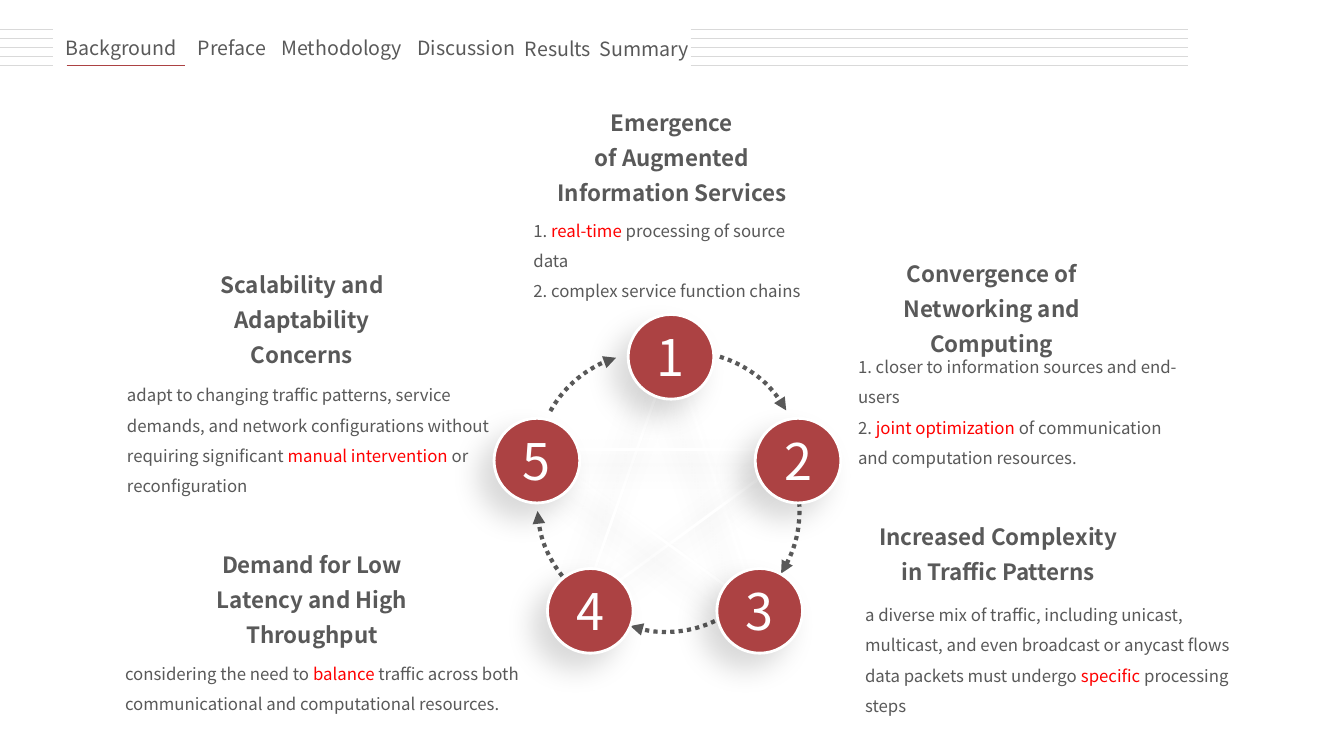
import dataclasses

import lxml.etree
import pptx
import pptx.dml.color
import pptx.enum.shapes
import pptx.enum.text
import pptx.oxml.ns
import pptx.util

Inches = pptx.util.Inches
Pt = pptx.util.Pt
Align = pptx.enum.text.PP_ALIGN
Anchor = pptx.enum.text.MSO_ANCHOR
Shape = pptx.enum.shapes.MSO_SHAPE
qn = pptx.oxml.ns.qn


@dataclasses.dataclass(frozen=True)
class Theme:
    font: str = "Noto Sans CJK SC"
    ink: str = "595959"
    accent: str = "AC4243"
    highlight: str = "FF0000"
    rule: str = "D9D9D9"
    light: str = "FFFFFF"
    number_size: int = 36
    heading_size: int = 16
    tab_size: int = 14
    body_size: int = 12


THEME = Theme()

# Tab label, left, top, width
TABS = [
    ("Background", 0.54, 0.31, 1.33),
    ("Preface", 1.85, 0.31, 0.9),
    ("Methodology", 2.65, 0.31, 1.48),
    ("Discussion", 4.03, 0.31, 1.19),
    ("Results", 5.1, 0.32, 0.87),
    ("Summary", 5.84, 0.32, 1.1),
]

# Heading box, heading paragraphs, body box, body paragraphs (*highlighted*)
TOPICS = [
    ((5.34, 0.96, 2.65, 1.09), ["Emergence", "of Augmented Information Services"],
     (5.29, 2.09, 2.75, 0.87),
     ["1. *real-time* processing of source data", "2. complex service function chains"]),
    ((8.46, 2.46, 2.75, 1.09), ["Convergence of Networking and Computing"],
     (8.51, 3.44, 3.28, 1.18),
     ["1. closer to information sources and end-users",
      "2. *joint optimization* of communication and computation resources."]),
    ((8.58, 5.07, 2.64, 0.74), ["Increased Complexity in Traffic Patterns"],
     (8.58, 5.9, 3.71, 1.18),
     ["a diverse mix of traffic, including unicast, multicast, and even broadcast "
      "or anycast flows",
      "data packets must undergo *specific* processing steps"]),
    ((1.83, 5.35, 2.53, 1.09), ["Demand for Low Latency and High Throughput"],
     (1.24, 6.48, 4.23, 0.57),
     ["considering the need to *balance* traffic across both communicational and "
      "computational resources."]),
    ((2.05, 2.57, 1.89, 1.09), ["Scalability and Adaptability Concerns"],
     (1.26, 3.72, 4, 1.18),
     ["adapt to changing traffic patterns, service demands, and network configurations "
      "without requiring significant *manual intervention* or reconfiguration"]),
]

# Positions in the cycle, relative to its box
CYCLE_BOX = (4.9, 3.12, 3.44, 3.36)
DISC_SIZE = (0.85, 0.84)
DISCS = [(1.33, 0), (2.59, 1.03), (2.21, 2.52), (0.53, 2.52), (0, 1.03)]
STAR_POINTS = [(1.77, 0.34), (3.02, 1.34), (2.61, 2.92), (0.86, 2.92), (0.44, 1.34)]
# Arc centre x, centre y, radius, start angle
ARCS = [
    (1.91, 1.5, 1.13, 287),
    (1.85, 1.94, 1.18, 348.3),
    (1.71, 2.03, 1.12, 64.6),
    (1.56, 1.89, 1.13, 132.9),
    (1.54, 1.5, 1.12, 208.9),
]
ARC_SWEEP = 44


def color(code):
    return pptx.dml.color.RGBColor.from_string(code)


def set_line(shape, code, width):
    shape.line.color.rgb = color(code)
    shape.line.width = Pt(width)


def set_effects(shape, shadowed=False):
    """Replace the inherited shadow by none, or by a soft one to the lower left."""
    effects = lxml.etree.SubElement(shape._element.spPr, qn("a:effectLst"))
    if shadowed:
        shadow = lxml.etree.SubElement(
            effects, qn("a:outerShdw"), blurRad=str(Pt(20)), dist=str(Pt(15)),
            dir=str(135 * 60000), algn="tr", rotWithShape="0")
        black = lxml.etree.SubElement(shadow, qn("a:srgbClr"), val="000000")
        lxml.etree.SubElement(black, qn("a:alpha"), val="15000")


def add_line(page, start, end, code, width, shadowed=False):
    line = page.shapes.add_connector(
        pptx.enum.shapes.MSO_CONNECTOR.STRAIGHT, *map(Inches, start + end))
    set_line(line, code, width)
    set_effects(line, shadowed)


def style_paragraph(para, size, code, align, spacing=1.0, bold=False):
    para.alignment = align
    para.line_spacing = spacing
    para.font.name = THEME.font
    para.font.size = Pt(size)
    para.font.bold = bold
    para.font.color.rgb = color(code)


def add_text(page, box, texts, size, align, spacing, margins, bold=False):
    """Add a text box; parts of a text between asterisks are highlighted."""
    frame = page.shapes.add_textbox(*map(Inches, box)).text_frame
    frame.word_wrap = True
    frame.margin_left = frame.margin_right = Inches(margins[0])
    frame.margin_top = frame.margin_bottom = Inches(margins[1])
    for index, text in enumerate(texts):
        para = frame.add_paragraph() if index else frame.paragraphs[0]
        style_paragraph(para, size, THEME.ink, align, spacing, bold)
        for part, words in enumerate(text.split("*")):
            if words:
                span = para.add_run()
                span.text = words
                if part % 2:
                    span.font.color.rgb = color(THEME.highlight)


def add_topic(page, heading_box, heading, body_box, body):
    add_text(page, heading_box, heading, THEME.heading_size, Align.CENTER, 1.3,
             (0.07, 0.04), bold=True)
    add_text(page, body_box, body, THEME.body_size, Align.LEFT, 1.5, (0, 0))


def add_navigation(page):
    """Ruled strip of section tabs; the current section is the page title."""
    for left, right in ((0, 0.53), (6.85, 11.78)):
        for row in range(5):
            y = 0.29 + 0.09 * row
            add_line(page, (left, y), (right, y), THEME.rule, 0.5)
    for index, (label, left, top, width) in enumerate(TABS):
        box = [Inches(length) for length in (left, top, width, 0.34)]
        if index == 0:
            tab = page.shapes.title
            tab.left, tab.top, tab.width, tab.height = box
        else:
            tab = page.shapes.add_textbox(*box)
        frame = tab.text_frame
        frame.text = label
        frame.word_wrap = False
        frame.auto_size = pptx.enum.text.MSO_AUTO_SIZE.NONE
        frame.vertical_anchor = Anchor.TOP
        style_paragraph(frame.paragraphs[0], THEME.tab_size, THEME.ink, Align.CENTER)
    add_line(page, (0.66, 0.65), (1.83, 0.65), THEME.accent, 0.5)


def add_arc_arrow(page, center_x, center_y, radius, start):
    arc = page.shapes.add_shape(
        Shape.ARC, Inches(center_x - radius), Inches(center_y - radius),
        Inches(2 * radius), Inches(2 * radius))
    # Angles are 60000ths of a degree; adjustments are 100000ths
    arc.adjustments[0] = start * 0.6
    arc.adjustments[1] = (start + ARC_SWEEP) % 360 * 0.6
    arc.fill.background()
    set_line(arc, THEME.ink, 3)
    arc.line.dash_style = pptx.enum.dml.MSO_LINE.ROUND_DOT
    lxml.etree.SubElement(arc.line._get_or_add_ln(), qn("a:tailEnd"), type="triangle")
    set_effects(arc)


def add_disc(page, left, top, number):
    disc = page.shapes.add_shape(Shape.OVAL, *map(Inches, (left, top) + DISC_SIZE))
    disc.fill.solid()
    disc.fill.fore_color.rgb = color(THEME.accent)
    set_line(disc, THEME.light, 2)
    set_effects(disc, shadowed=True)
    frame = disc.text_frame
    frame.text = str(number)
    frame.word_wrap = False
    frame.vertical_anchor = Anchor.MIDDLE
    style_paragraph(frame.paragraphs[0], THEME.number_size, THEME.light, Align.CENTER)


def add_cycle(page, box):
    """Five numbered discs joined by dotted arrows around a faint star."""
    left, top = box[:2]
    points = [(left + x, top + y) for x, y in STAR_POINTS]
    for index, point in enumerate(points):
        add_line(page, point, points[(index + 2) % 5], THEME.light, 2, shadowed=True)
    for x, y, radius, start in ARCS:
        add_arc_arrow(page, left + x, top + y, radius, start)
    for number, (x, y) in enumerate(DISCS, 1):
        add_disc(page, left + x, top + y, number)


def main():
    deck = pptx.Presentation()
    deck.slide_width, deck.slide_height = Inches(13.33), Inches(7.5)
    page = deck.slides.add_slide(deck.slide_layouts.get_by_name("Title Only"))
    add_cycle(page, CYCLE_BOX)
    for topic in TOPICS:
        add_topic(page, *topic)
    add_navigation(page)
    deck.save("out.pptx")


if __name__ == "__main__":
    main()
